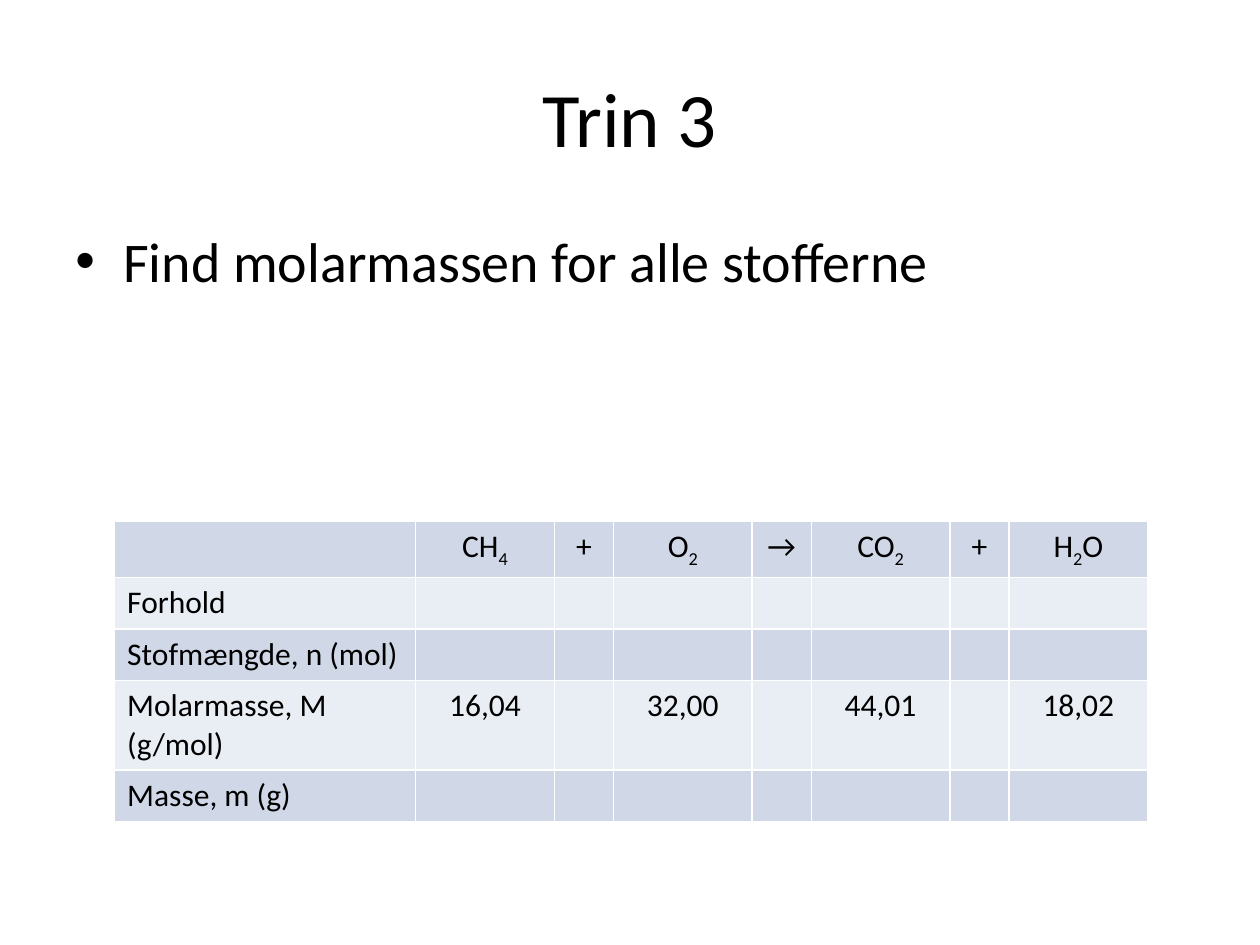
from itertools import groupby

from lxml import etree
from pptx import Presentation
from pptx.dml.color import RGBColor
from pptx.enum import text
from pptx.oxml import ns
from pptx.util import Inches, Pt

BLACK = RGBColor(0, 0, 0)
WHITE = RGBColor(255, 255, 255)
BANDS = [RGBColor(0xD0, 0xD8, 0xE8), RGBColor(0xE9, 0xED, 0xF4)]
FONT = "Calibri"

TITLE = "Trin 3"
TASK = "Find molarmassen for alle stofferne"
REACTION = ["", "CH4", "+", "O2", "→", "CO2", "+", "H2O"]
QUANTITIES = [
    ["Forhold"],
    ["Stofmængde, n (mol)"],
    ["Molarmasse, M (g/mol)", "16,04", "", "32,00", "", "44,01", "", "18,02"],
    ["Masse, m (g)"],
]
LABEL_WIDTH, SUBSTANCE_WIDTH, SIGN_WIDTH = 2.39, 1.1, 0.47
ROW_HEIGHTS = [0.43, 0.41, 0.41, 0.71, 0.41]


def style(run, size):
    run.font.name = FONT
    run.font.size = Pt(size)
    run.font.color.rgb = BLACK


def add_text(slide, words, size, left, top, width, height):
    frame = slide.shapes.add_textbox(*map(Inches, (left, top, width, height))).text_frame
    frame.word_wrap = True
    frame.text = words
    style(frame.paragraphs[0].runs[0], size)
    return frame


def add_bullet(paragraph, indent):
    props = paragraph._p.get_or_add_pPr()
    props.set("marL", str(Inches(indent)))
    props.set("indent", str(-Inches(indent)))
    etree.SubElement(props, ns.qn("a:buFont")).set("typeface", "Arial")
    etree.SubElement(props, ns.qn("a:buChar")).set("char", "•")


def add_borders(cell):
    props = cell._tc.get_or_add_tcPr()
    for position, side in enumerate(("lnL", "lnR", "lnT", "lnB")):
        line = etree.Element(ns.qn(f"a:{side}"), w=str(Pt(1)))
        fill = etree.SubElement(line, ns.qn("a:solidFill"))
        etree.SubElement(fill, ns.qn("a:srgbClr")).set("val", str(WHITE))
        props.insert(position, line)


def write_formula(paragraph, formula):
    for is_index, letters in groupby(formula, str.isdigit):
        run = paragraph.add_run()
        run.text = "".join(letters)
        style(run, 18)
        if is_index:
            run._r.get_or_add_rPr().set("baseline", "-25000")


def add_reaction_table(slide):
    widths = [LABEL_WIDTH] + [SIGN_WIDTH if sign in ("+", "→") else SUBSTANCE_WIDTH
                              for sign in REACTION[1:]]
    rows = [REACTION] + [row + [""] * (len(REACTION) - len(row)) for row in QUANTITIES]
    table = slide.shapes.add_table(
        len(rows), len(widths), Inches(0.91), Inches(4.14),
        Inches(sum(widths)), Inches(sum(ROW_HEIGHTS))).table
    table.first_row = False
    for column, width in zip(table.columns, widths):
        column.width = Inches(width)
    for r, (row, height) in enumerate(zip(rows, ROW_HEIGHTS)):
        table.rows[r].height = Inches(height)
        for c, words in enumerate(row):
            cell = table.cell(r, c)
            cell.fill.solid()
            cell.fill.fore_color.rgb = BANDS[r % 2]
            add_borders(cell)
            paragraph = cell.text_frame.paragraphs[0]
            if c:
                paragraph.alignment = text.PP_ALIGN.CENTER
            if r == 0:
                write_formula(paragraph, words)
            elif words:
                paragraph.text = words
                style(paragraph.runs[0], 18)


def main():
    deck = Presentation()
    deck.slide_width, deck.slide_height = Inches(10), Inches(7.5)
    slide = deck.slides.add_slide(deck.slide_layouts[6])

    title = add_text(slide, TITLE, 44, 0.5, 0.3, 9, 1.25)
    title.vertical_anchor = text.MSO_ANCHOR.MIDDLE
    title.paragraphs[0].alignment = text.PP_ALIGN.CENTER

    task = add_text(slide, TASK, 32, 0.5, 1.75, 9, 4.95)
    add_bullet(task.paragraphs[0], 0.38)

    add_reaction_table(slide)
    deck.save("out.pptx")


if __name__ == "__main__":
    main()
